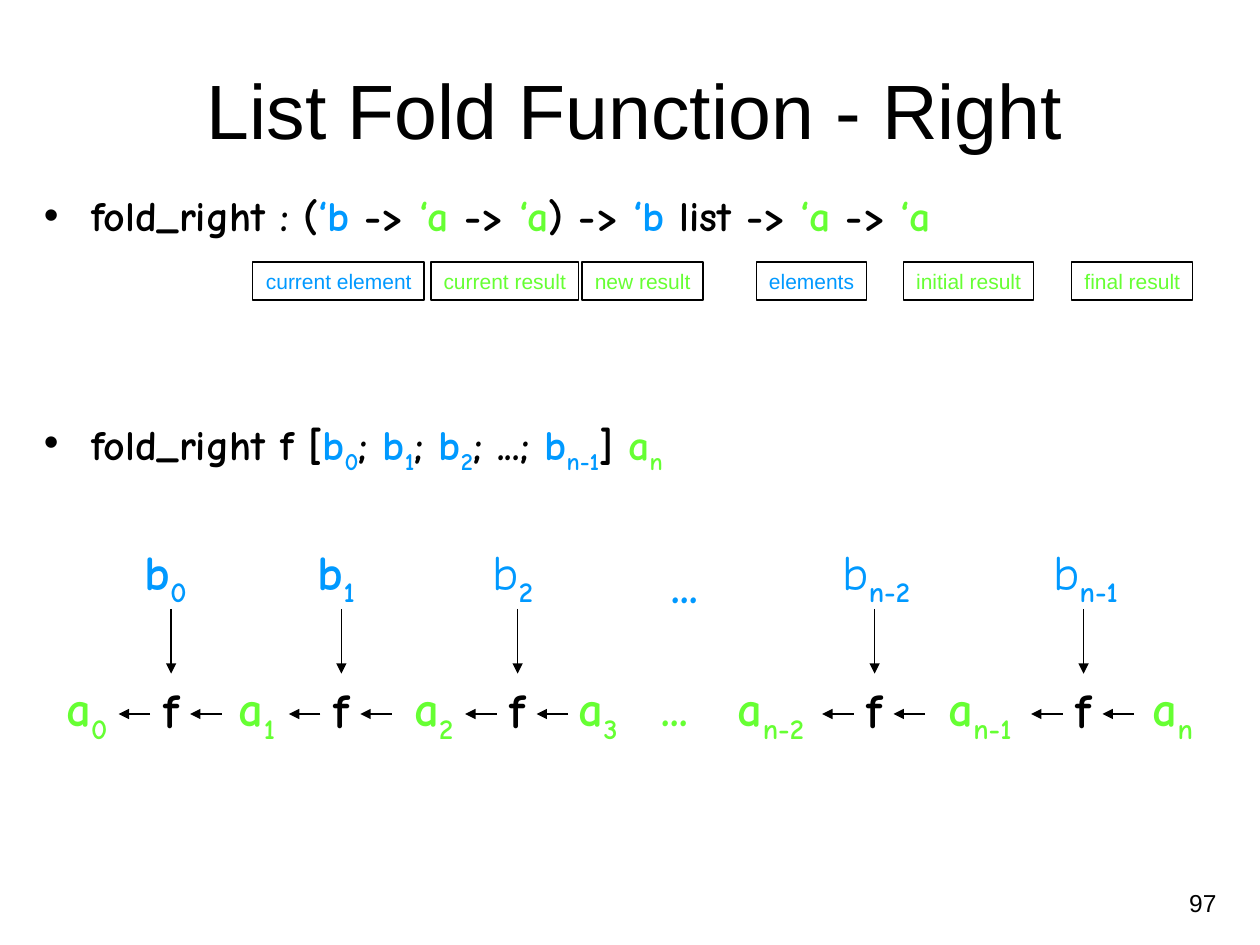
from pptx import Presentation
from pptx.dml.color import RGBColor
from pptx.enum.shapes import MSO_CONNECTOR, MSO_SHAPE
from pptx.enum.text import MSO_ANCHOR, MSO_AUTO_SIZE, PP_ALIGN
from pptx.oxml.ns import qn
from pptx.util import Pt
from lxml import etree

MID, RIGHT = PP_ALIGN.CENTER, PP_ALIGN.RIGHT
MIDDLE = MSO_ANCHOR.MIDDLE
GROW = MSO_AUTO_SIZE.SHAPE_TO_FIT_TEXT
LINE, RECT = MSO_CONNECTOR.STRAIGHT, MSO_SHAPE.RECTANGLE
HEX = {"ink": "000000", "item": "0099FF", "acc": "66FF33"}
SANS, HAND = "Arial", "Comic Neue"


class Deck:
    def __init__(self, wide, high):
        self.prs = Presentation()
        self.prs.slide_width, self.prs.slide_height = Pt(wide), Pt(high)
        self.slide = self.prs.slides.add_slide(self.prs.slide_layouts[6])

    def color(self, name):
        return RGBColor.from_string(HEX[name])

    def style(self, run, size, tone, face=SANS, bold=False, sub=False):
        font = run.font
        font.size, font.name, font.bold = Pt(size), face, bold
        font.color.rgb = self.color(tone)
        if sub:
            run._r.get_or_add_rPr().set("baseline", "-25000")

    def fit(self, frame):
        """Keep a label on one line, with some slack at its left."""
        frame.word_wrap, frame.auto_size = False, GROW
        frame.margin_left = Pt(4)

    def text(self, x, y, w, h, words, size, tone="ink", align=RIGHT):
        box = self.slide.shapes.add_textbox(Pt(x), Pt(y), Pt(w), Pt(h))
        frame = box.text_frame
        frame.word_wrap = True
        frame.text = words
        para = frame.paragraphs[0]
        para.alignment = align
        self.style(para.runs[0], size, tone)
        return box

    def term(self, x, y, w, name, tone, bold=True):
        """Symbol with an optional subscript after an underscore."""
        base, _, sub = name.partition("_")
        box = self.text(x, y, w, 45.4 if sub else 41, base, 28, tone)
        self.fit(box.text_frame)
        para = box.text_frame.paragraphs[0]
        self.style(para.runs[0], 28, tone, HAND, bold)
        if sub:
            run = para.add_run()
            run.text = sub
            self.style(run, 28, tone, HAND, True, True)
        return box

    def tag(self, x, w, words, tone):
        box = self.slide.shapes.add_shape(RECT, Pt(x), Pt(149.8), Pt(w), Pt(21.6))
        box.shadow.inherit = False
        box.fill.background()
        box.line.color.rgb = self.color("ink")
        box.line.width = Pt(0.75)
        frame = box.text_frame
        self.fit(frame)
        frame.text = words
        para = frame.paragraphs[0]
        para.alignment = RIGHT
        self.style(para.runs[0], 12, tone)

    def arrow(self, x1, y1, x2, y2):
        line = self.slide.shapes.add_connector(LINE, Pt(x1), Pt(y1), Pt(x2), Pt(y2))
        line.line.color.rgb = self.color("ink")
        line.line.width = Pt(0.75)
        props = line._element.spPr
        etree.SubElement(props.find(qn("a:ln")), qn("a:tailEnd"), type="triangle")
        etree.SubElement(props, qn("a:effectLst"))
        return line

    def bullets(self, x, y, w, h, items, gap):
        box = self.slide.shapes.add_textbox(Pt(x), Pt(y), Pt(w), Pt(h))
        frame = box.text_frame
        frame.word_wrap = True
        for i, parts in enumerate(items):
            para = frame.add_paragraph() if i else frame.paragraphs[0]
            props = para._p.get_or_add_pPr()
            props.set("marL", str(Pt(27)))
            props.set("indent", str(-Pt(27)))
            tint = etree.SubElement(props, qn("a:buClr"))
            etree.SubElement(tint, qn("a:srgbClr"), val=HEX["ink"])
            etree.SubElement(props, qn("a:buFont"), typeface=SANS)
            etree.SubElement(props, qn("a:buChar"), char="•")
            para.line_spacing = 0.9
            para.space_before = Pt(gap if i else 0)
            for words, tone, *sub in parts:
                run = para.add_run()
                run.text = words
                self.style(run, 24, tone, HAND, True, bool(sub))


deck = Deck(720, 540)

# Title
title = deck.text(18, 21.6, 690, 80.6, "List Fold Function - Right", 44, align=MID)
title.text_frame.vertical_anchor = MIDDLE

# Type and call of the function
kind = [("fold_right : (", "ink"), ("‘b", "item"), (" -> ", "ink"),
        ("‘a", "acc"), (" -> ", "ink"), ("‘a", "acc"), (") -> ", "ink"),
        ("‘b", "item"), (" list -> ", "ink"), ("‘a ", "acc"),
        ("-> ", "ink"), ("‘a", "acc")]
call = [("fold_right f [", "ink")]
for sub, tail in (("0", "; "), ("1", "; "), ("2", "; ...; "), ("n-1", "] ")):
    call += [("b", "item"), (sub, "item", True), (tail, "ink")]
call += [("a", "acc"), ("n", "acc", True)]
deck.bullets(18, 108, 696, 180, [kind, call], 102)

# Tags under the type
for x, w, words, tone in (
        (144.4, 98, "current element", "item"),
        (246.4, 84.2, "current result", "acc"),
        (332.6, 69.1, "new result", "acc"),
        (432.4, 62.8, "elements", "item"),
        (516.2, 74.4, "initial result", "acc"),
        (612.4, 69.1, "final result", "acc")):
    deck.tag(x, w, words, tone)

# List elements
for x, w, name, bold in (
        (75.6, 38.2, "b_0", True), (174.5, 35.3, "b_1", True),
        (274.3, 37.4, "b_2", False), (474.5, 52.6, "b_n-2", False),
        (594.7, 51.1, "b_n-1", False)):
    deck.term(x, 306, w, name, "item", bold)
deck.term(376.6, 313.2, 29.5, "...", "item")

# Results
for x, w, name in (
        (31, 37.4, "a_0"), (129.6, 34.6, "a_1"), (229.4, 36.7, "a_2"),
        (323.3, 36.7, "a_3"), (370.8, 29.5, "..."), (414.7, 51.8, "a_n-2"),
        (534.7, 50.4, "a_n-1"), (651.4, 37.4, "a_n")):
    deck.term(x, 383.8, w, name, "acc")

# Steps: f with one arrow from above, one in and one out
for mid in (97.8, 195.1, 295.8, 499.8, 619.2):
    step = deck.term(mid - 11.5, 385, 23, "f", "ink")
    deck.arrow(mid, 348, mid, 385).end_connect(step, 0)
    for x in (mid - 12, mid + 28.8):
        deck.arrow(x, 408, x - 18, 408)

# Slide number
deck.text(534.2, 504, 168, 25.2, "97", 14)

deck.prs.save("out.pptx")
